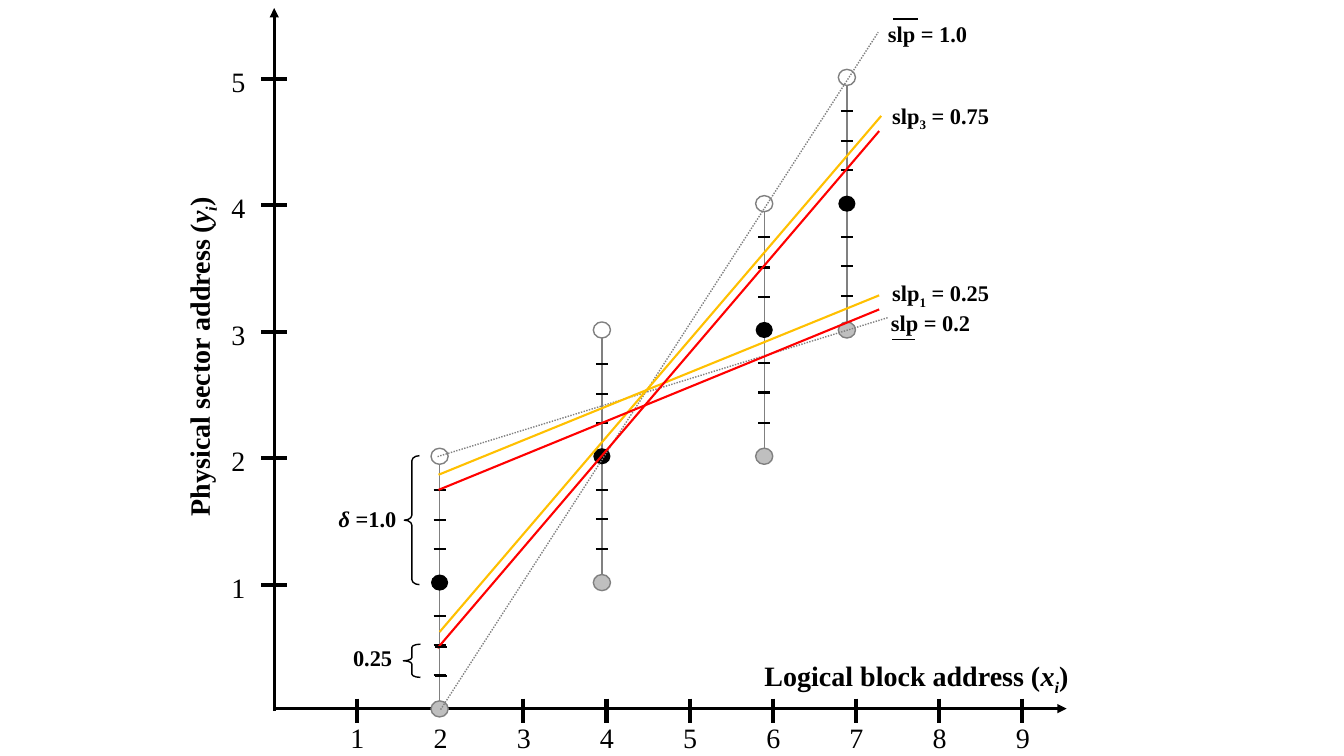
from dataclasses import dataclass

from pptx import Presentation
from pptx.dml.color import RGBColor
from pptx.enum.dml import MSO_LINE
from pptx.enum.shapes import MSO_CONNECTOR, MSO_SHAPE
from pptx.enum.text import MSO_AUTO_SIZE, PP_ALIGN
from pptx.oxml.ns import qn
from pptx.util import Inches, Pt
from lxml import etree

STRAIGHT = MSO_CONNECTOR.STRAIGHT
OVAL, BRACE = MSO_SHAPE.OVAL, MSO_SHAPE.RIGHT_BRACE
DOTTED = MSO_LINE.ROUND_DOT
CENTER = PP_ALIGN.CENTER
FIT_TEXT = MSO_AUTO_SIZE.SHAPE_TO_FIT_TEXT


@dataclass(frozen=True)
class Theme:
    font: str = "Times New Roman"
    axis_size: int = 20
    label_size: int = 16
    black: str = "000000"
    white: str = "FFFFFF"
    gray: str = "808080"
    light_gray: str = "BFBFBF"
    gold: str = "FFC000"
    red: str = "FF0000"


@dataclass(frozen=True)
class Span:
    text: str
    italic: bool = False
    subscript: bool = False


@dataclass(frozen=True)
class Label:
    spans: tuple[Span, ...]
    left: float
    top: float
    width: float
    size: int
    rotation: int = 0


@dataclass(frozen=True)
class Segment:
    start: tuple[float, float]
    end: tuple[float, float]
    color: str
    weight: float = 1.5
    dotted: bool = False


@dataclass(frozen=True)
class Bracket:
    left: float
    top: float
    width: float
    height: float
    curve: float


THEME = Theme()
X_TICK_ONE, X_TICK_STEP, X_AXIS = 3.54, 0.825, 7.03
Y_TICK_ONE, Y_TICK_STEP, Y_AXIS = 5.8, 1.255, 2.72
POINT_ONE_Y, POINT_STEP = 5.78, 1.253
POINT_COLUMNS = (4.36, 5.97, 7.58, 8.4)
DOT_WIDTH, DOT_HEIGHT = 0.17, 0.16
TEXT_HEIGHT = {THEME.axis_size: 0.44, THEME.label_size: 0.37}

LABELS = (
    Label((Span("Logical block address ("), Span("x", True), Span("i", True, True), Span(")")),
          7.21, 6.48, 3.76, THEME.axis_size),
    Label((Span("Physical sector address ("), Span("y", True), Span("i", True, True), Span(")")),
          0.21, 3.32, 3.53, THEME.axis_size, 270),
    Label((Span("δ ", True), Span("=1.0")), 3.23, 4.96, 0.83, THEME.label_size),
    Label((Span("0.25"),), 3.4, 6.34, 0.59, THEME.label_size),
    Label((Span("slp = 1.0"),), 8.58, 0.15, 1.24, THEME.label_size),
    Label((Span("slp = 0.2"),), 8.61, 3.02, 1.24, THEME.label_size),
    Label((Span("slp"), Span("3", subscript=True), Span(" = 0.75")),
          8.71, 0.96, 1.24, THEME.label_size),
    Label((Span("slp"), Span("1", subscript=True), Span(" = 0.25")),
          8.71, 2.72, 1.24, THEME.label_size),
)
SEGMENTS = (
    # Bounds
    Segment((4.37, 7.04), (8.71, 0.32), THEME.gray, 1, True),
    Segment((4.34, 4.53), (8.81, 3.15), THEME.gray, 1, True),
    # Bars over and under slp
    Segment((8.86, 0.19), (9.1, 0.19), THEME.black, 1),
    Segment((8.85, 3.37), (9.08, 3.37), THEME.black, 1),
    # Fitted slopes
    Segment((4.35, 4.71), (8.72, 2.93), THEME.gold),
    Segment((4.36, 6.27), (8.74, 1.15), THEME.gold),
    Segment((4.34, 6.43), (8.72, 1.3), THEME.red),
    Segment((4.35, 4.86), (8.72, 3.07), THEME.red),
    # Ends of the 0.25 interval
    Segment((4.31, 6.42), (4.43, 6.42), THEME.black),
    Segment((4.31, 6.71), (4.43, 6.71), THEME.black),
)
BRACKETS = (Bracket(4.01, 4.52, 0.15, 1.28, 0.334), Bracket(4, 6.39, 0.17, 0.33, 0.188))


def add_text(page, spans: tuple[Span, ...], *, left: float, top: float, width: float,
             size: int, bold: bool = True, rotation: int = 0) -> None:
    box = page.shapes.add_textbox(Inches(left), Inches(top), Inches(width),
                                  Inches(TEXT_HEIGHT[size]))
    box.rotation = rotation
    box.text_frame.word_wrap = True
    box.text_frame.auto_size = FIT_TEXT
    para = box.text_frame.paragraphs[0]
    para.alignment = CENTER
    for span in spans:
        run = para.add_run()
        run.text = span.text
        run.font.name, run.font.size = THEME.font, Pt(size)
        run.font.bold, run.font.italic = bold, span.italic
        run.font.color.rgb = RGBColor.from_string(THEME.black)
        if span.subscript:
            run.font._element.set("baseline", "-25000")


def add_segment(page, segment: Segment, arrow: bool = False) -> None:
    ends = [Inches(value) for value in (*segment.start, *segment.end)]
    connector = page.shapes.add_connector(STRAIGHT, *ends)
    connector.line.color.rgb = RGBColor.from_string(segment.color)
    connector.line.width = Pt(segment.weight)
    if segment.dotted:
        connector.line.dash_style = DOTTED
    if arrow:
        etree.SubElement(connector.line._get_or_add_ln(), qn("a:tailEnd"), type="triangle")
    etree.SubElement(connector._element.spPr, qn("a:effectLst"))


def add_dot(page, x: float, y: float, fill: str, outline: str | None) -> None:
    dot = page.shapes.add_shape(OVAL, Inches(x - DOT_WIDTH / 2), Inches(y - DOT_HEIGHT / 2),
                                Inches(DOT_WIDTH), Inches(DOT_HEIGHT))
    dot.shadow.inherit = False
    dot.fill.solid()
    dot.fill.fore_color.rgb = RGBColor.from_string(fill)
    if outline:
        dot.line.color.rgb = RGBColor.from_string(outline)
        dot.line.width = Pt(1)
    else:
        dot.line.fill.background()


def add_bracket(page, bracket: Bracket) -> None:
    brace = page.shapes.add_shape(BRACE, Inches(bracket.left), Inches(bracket.top),
                                  Inches(bracket.width), Inches(bracket.height))
    brace.rotation = 180
    brace.adjustments[0] = bracket.curve
    brace.shadow.inherit = False
    brace.fill.background()
    brace.line.color.rgb = RGBColor.from_string(THEME.black)
    brace.line.width = Pt(1)


def add_axes(page) -> None:
    add_segment(page, Segment((2.71, X_AXIS), (10.58, X_AXIS), THEME.black, 2.25), arrow=True)
    add_segment(page, Segment((Y_AXIS, 7.05), (Y_AXIS, 0.08), THEME.black, 2.25), arrow=True)
    for number in range(1, 10):
        x = X_TICK_ONE + X_TICK_STEP * (number - 1)
        if number != 2:  # the first point stands here
            add_segment(page, Segment((x, 6.93), (x, 7.17), THEME.black, 3))
        add_text(page, (Span(str(number)),), left=x - 0.26, top=7.1, width=0.53,
                 size=THEME.axis_size, bold=False)
    for number in range(1, 6):
        y = Y_TICK_ONE - Y_TICK_STEP * (number - 1)
        add_segment(page, Segment((2.59, y), (2.85, y), THEME.black, 3))
        add_text(page, (Span(str(number)),), left=2.1, top=y - 0.19, width=0.53,
                 size=THEME.axis_size, bold=False)


def add_point(page, x: float, y: float) -> None:
    reach = POINT_STEP - DOT_HEIGHT / 2
    add_segment(page, Segment((x, y - reach), (x, y + reach), THEME.gray, 1))
    add_dot(page, x, y + POINT_STEP, THEME.light_gray, THEME.gray)
    add_dot(page, x, y, THEME.black, None)
    add_dot(page, x, y - POINT_STEP, THEME.white, THEME.gray)
    for offset in (0.33, 0.62, 0.92):
        for tick_y in (y - offset, y + offset):
            add_segment(page, Segment((x - 0.06, tick_y), (x + 0.06, tick_y), THEME.black))


def main() -> None:
    deck = Presentation()
    deck.slide_width, deck.slide_height = Inches(13.33), Inches(7.5)
    page = deck.slides.add_slide(deck.slide_layouts[6])
    add_axes(page)
    for index, x in enumerate(POINT_COLUMNS):
        add_point(page, x, POINT_ONE_Y - POINT_STEP * index)
    for segment in SEGMENTS:
        add_segment(page, segment)
    for bracket in BRACKETS:
        add_bracket(page, bracket)
    for label in LABELS:
        add_text(page, label.spans, left=label.left, top=label.top, width=label.width,
                 size=label.size, rotation=label.rotation)
    deck.save("out.pptx")


if __name__ == "__main__":
    main()
